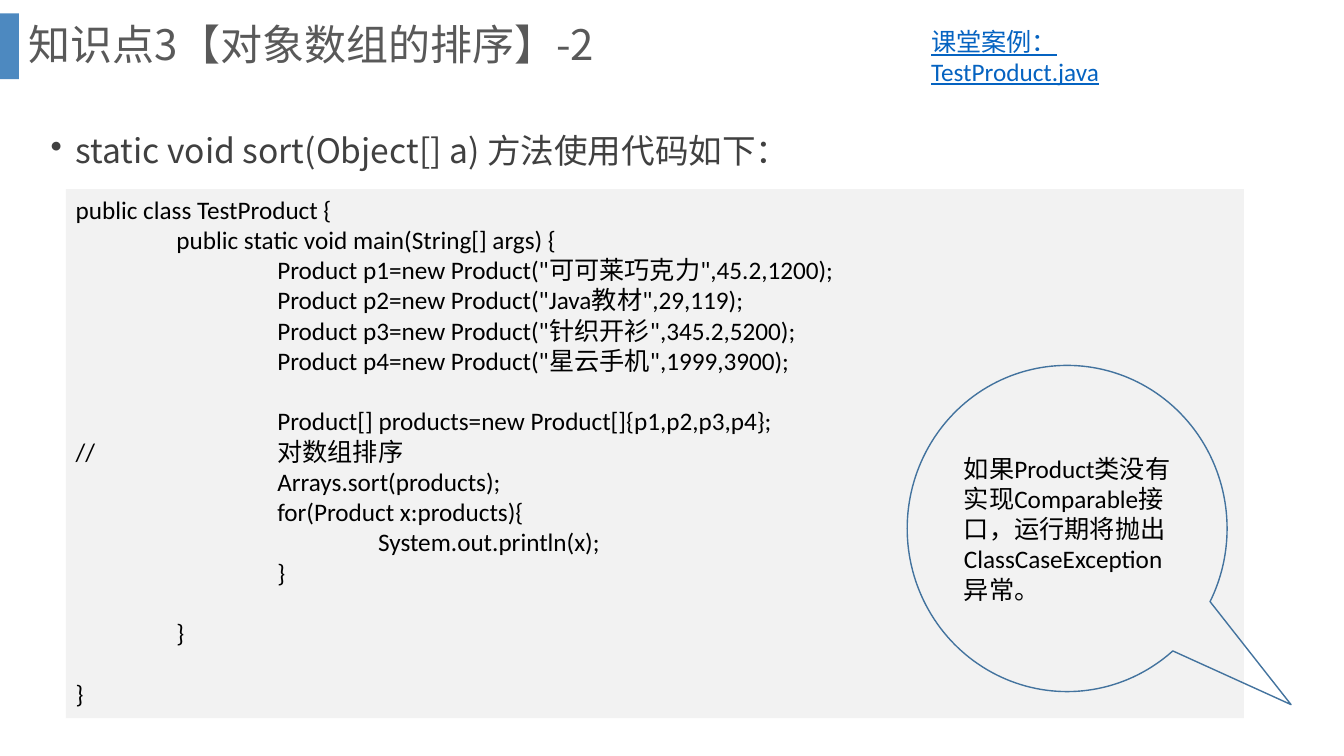
from pptx import Presentation
from pptx.dml.color import RGBColor
from pptx.enum import shapes, text
from pptx.oxml import ns
from pptx.util import Pt
from lxml import etree

TITLE = "知识点3【对象数组的排序】-2"
BULLET = "static void sort(Object[] a) 方法使用代码如下："
LINK = ["课堂案例：", "TestProduct.java"]
NOTE = "如果Product类没有实现Comparable接口，运行期将抛出ClassCaseException异常。"
CODE = """public class TestProduct {
\tpublic static void main(String[] args) {
\t\tProduct p1=new Product("可可莱巧克力",45.2,1200);
\t\tProduct p2=new Product("Java教材",29,119);
\t\tProduct p3=new Product("针织开衫",345.2,5200);
\t\tProduct p4=new Product("星云手机",1999,3900);

\t\tProduct[] products=new Product[]{p1,p2,p3,p4};
//\t\t对数组排序
\t\tArrays.sort(products);
\t\tfor(Product x:products){
\t\t\tSystem.out.println(x);
\t\t}

\t}

}""".split("\n")

SANS, BODY = "Noto Sans CJK SC", "Calibri"
BLUE = RGBColor(0x2E, 0x75, 0xB6)
OUTLINE = RGBColor(0x43, 0x73, 0x9E)
PANEL = RGBColor(0xF2, 0xF2, 0xF2)
LINK_BLUE = RGBColor(0x05, 0x63, 0xC1)
TITLE_GREY = RGBColor(0x59, 0x59, 0x59)
TEXT_GREY = RGBColor(0x40, 0x40, 0x40)
BLACK = RGBColor(0, 0, 0)


def place(box):
    return [Pt(v) for v in box]


def add_shape(s, kind, box, fill=None, line=None):
    sp = s.shapes.add_shape(kind, *place(box))
    sp.shadow.inherit = False
    if fill is None:
        sp.fill.background()
    else:
        sp.fill.solid()
        sp.fill.fore_color.rgb = fill
    if line is None:
        sp.line.fill.background()
    else:
        sp.line.color.rgb = line
        sp.line.width = Pt(1)
    return sp


def write(sp, lines, size=18, font=BODY, color=BLACK, anchor=text.MSO_ANCHOR.TOP):
    tf = sp.text_frame
    tf.word_wrap = True
    tf.auto_size = text.MSO_AUTO_SIZE.NONE
    tf.vertical_anchor = anchor
    tf.text = "\n".join(lines)
    for p in tf.paragraphs:
        p.alignment = text.PP_ALIGN.LEFT
        p.font.size = Pt(size)
        p.font.name = font
        p.font.color.rgb = color
        p._p.get_or_add_pPr().set("defTabSz", str(Pt(72)))
    return tf.paragraphs


def add_bullet(p, indent):
    pPr = p._p.get_or_add_pPr()
    pPr.set("marL", str(Pt(indent)))
    pPr.set("indent", str(-Pt(indent)))
    bullet = etree.Element(ns.qn("a:buChar"), char="•")
    pPr.find(ns.qn("a:defRPr")).addprevious(bullet)


prs = Presentation()
prs.slide_width, prs.slide_height = Pt(960), Pt(540)
s = prs.slides.add_slide(prs.slide_layouts[5])

bar = add_shape(s, shapes.MSO_SHAPE.RECTANGLE, (0, 9.5, 13.5, 47), BLUE)
color = bar.fill._xPr.find(ns.qn("a:solidFill"))[0]
etree.SubElement(color, ns.qn("a:alpha"), val="85000")

title = s.shapes.title
title.left, title.top, title.width, title.height = place((13.5, 0, 911.5, 67))
p = write(title, [TITLE], 30, SANS, TITLE_GREY, text.MSO_ANCHOR.MIDDLE)[0]
p.line_spacing = 0.9

body = s.shapes.add_textbox(*place((29, 75, 867.5, 136)))
p = write(body, [BULLET], 24, SANS, TEXT_GREY)[0]
p.line_spacing = 1.5
p.space_before = Pt(10)
add_bullet(p, 18)

panel = add_shape(s, shapes.MSO_SHAPE.RECTANGLE, (47, 135, 841.5, 378), PANEL)
write(panel, CODE)

link = s.shapes.add_textbox(*place((658, 15, 260.5, 51)))
for p in write(link, LINK, color=LINK_BLUE):
    p.font.underline = True

callout = add_shape(s, shapes.MSO_SHAPE.OVAL_CALLOUT, (648, 261, 228.5, 233), line=OUTLINE)
callout.adjustments[0], callout.adjustments[1] = 0.7, 0.54
write(callout, [NOTE], anchor=text.MSO_ANCHOR.MIDDLE)

prs.save("out.pptx")
